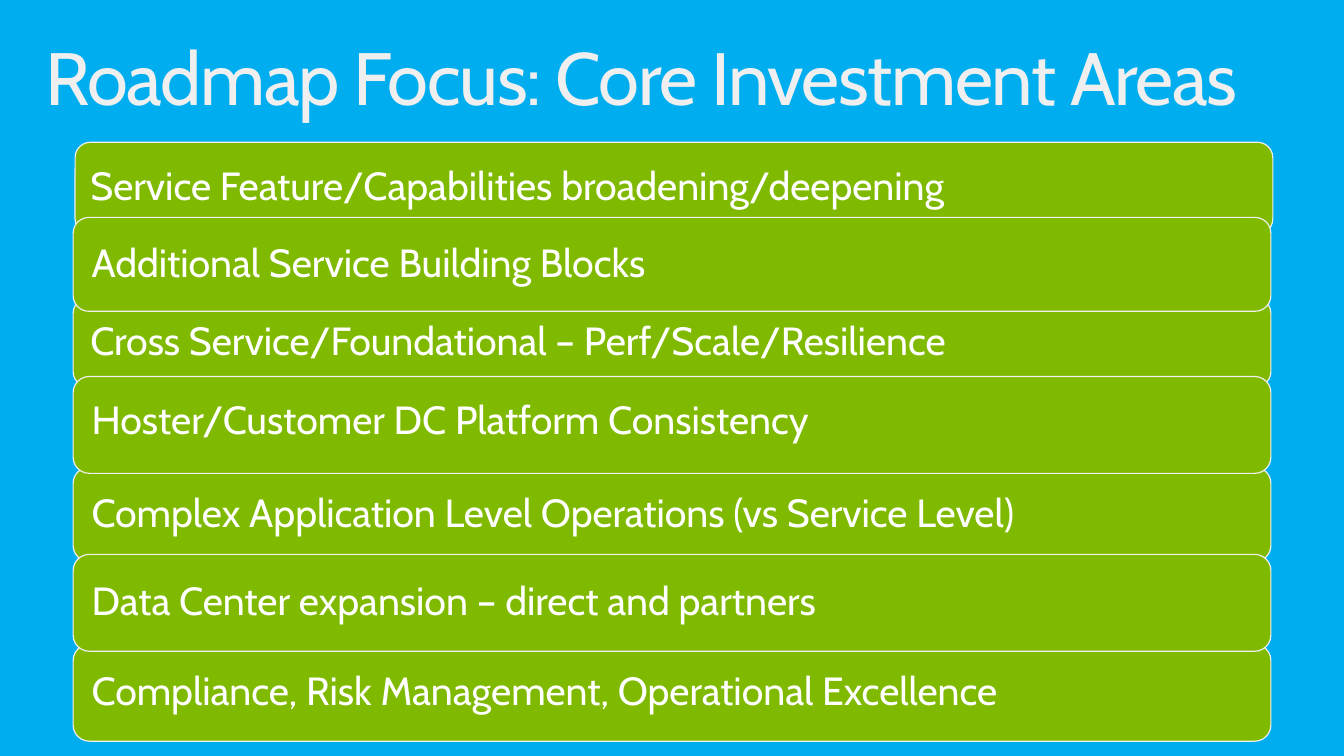
from pptx import Presentation
from pptx.dml.color import RGBColor
from pptx.enum.shapes import MSO_SHAPE
from pptx.enum.text import MSO_ANCHOR, MSO_AUTO_SIZE, PP_ALIGN
from pptx.util import Inches, Pt

COLORS = {"sky": "00AEEF", "green": "7FBA00", "pale": "EFEFEF", "white": "FFFFFF"}
FONT = "Cabin"
TITLE = "Roadmap Focus: Core Investment Areas"
BAR_WIDTH = 12.12

# text, left, top, height, inset, extra bottom inset
AREAS = [
    ("Service Feature/Capabilities broadening/deepening", 0.76, 1.44, 0.93, 0.11, 0),
    ("Cross Service/Foundational – Perf/Scale/Resilience", 0.74, 3.02, 0.89, 0.13, 0),
    ("Additional Service Building Blocks", 0.74, 2.2, 0.95, 0.14, 0),
    ("Complex Application Level Operations (vs Service Level)", 0.74, 4.73, 0.95, 0.14, 0),
    ("Hoster/Customer DC Platform Consistency", 0.74, 3.81, 0.98, 0.14, 0.06),
    ("Compliance, Risk Management, Operational Excellence", 0.74, 6.52, 0.98, 0.14, 0),
    ("Data Center expansion – direct and partners", 0.74, 5.61, 0.98, 0.14, 0),
]


def color(name):
    """Return the named colour."""
    return RGBColor.from_string(COLORS[name])


def write(frame, text, size, color_name, frame_format):
    """Fill a text frame with one left-aligned line and return its run."""
    for name, value in frame_format.items():
        setattr(frame, name, value)
    para = frame.paragraphs[0]
    para.alignment = PP_ALIGN.LEFT
    para.line_spacing = 0.9
    span = para.add_run()
    span.text = text
    for name, value in {"name": FONT, "size": Pt(size), "bold": False}.items():
        setattr(span.font, name, value)
    span.font.color.rgb = color(color_name)
    return span


def add_title(page):
    """Place and format the slide title."""
    title = page.shapes.title
    place = {"left": 0.3, "top": 0.32, "width": 13, "height": 0.9}
    for name, value in place.items():
        setattr(title, name, Inches(value))
    span = write(title.text_frame, TITLE, 54, "pale", {
        "word_wrap": True,
        "auto_size": MSO_AUTO_SIZE.SHAPE_TO_FIT_TEXT,
        "vertical_anchor": MSO_ANCHOR.TOP,
        "margin_left": Inches(0.16), "margin_right": Inches(0.16),
        "margin_top": Inches(0.1), "margin_bottom": Inches(0.1),
    })
    span.font._element.set("spc", "-100")


def add_area(page, text, left, top, height, inset, extra):
    """Draw one rounded bar with its label."""
    bar = page.shapes.add_shape(
        MSO_SHAPE.ROUNDED_RECTANGLE,
        Inches(left), Inches(top), Inches(BAR_WIDTH), Inches(height))
    bar.shadow.inherit = False
    bar.fill.solid()
    bar.fill.fore_color.rgb = color("green")
    bar.line.color.rgb = color("pale")
    bar.line.width = Pt(0.85)
    write(bar.text_frame, text, 28.6, "white", {
        "word_wrap": True,
        "vertical_anchor": MSO_ANCHOR.MIDDLE,
        "margin_left": Inches(inset), "margin_right": Inches(inset),
        "margin_top": Inches(inset), "margin_bottom": Inches(inset + extra),
    })


def main():
    """Build the roadmap slide."""
    deck = Presentation()
    deck.slide_width, deck.slide_height = Inches(13.6), Inches(7.65)
    page = deck.slides.add_slide(deck.slide_layouts[5])
    page.background.fill.solid()
    page.background.fill.fore_color.rgb = color("sky")
    add_title(page)
    for area in AREAS:
        add_area(page, *area)
    deck.save("out.pptx")


if __name__ == "__main__":
    main()
